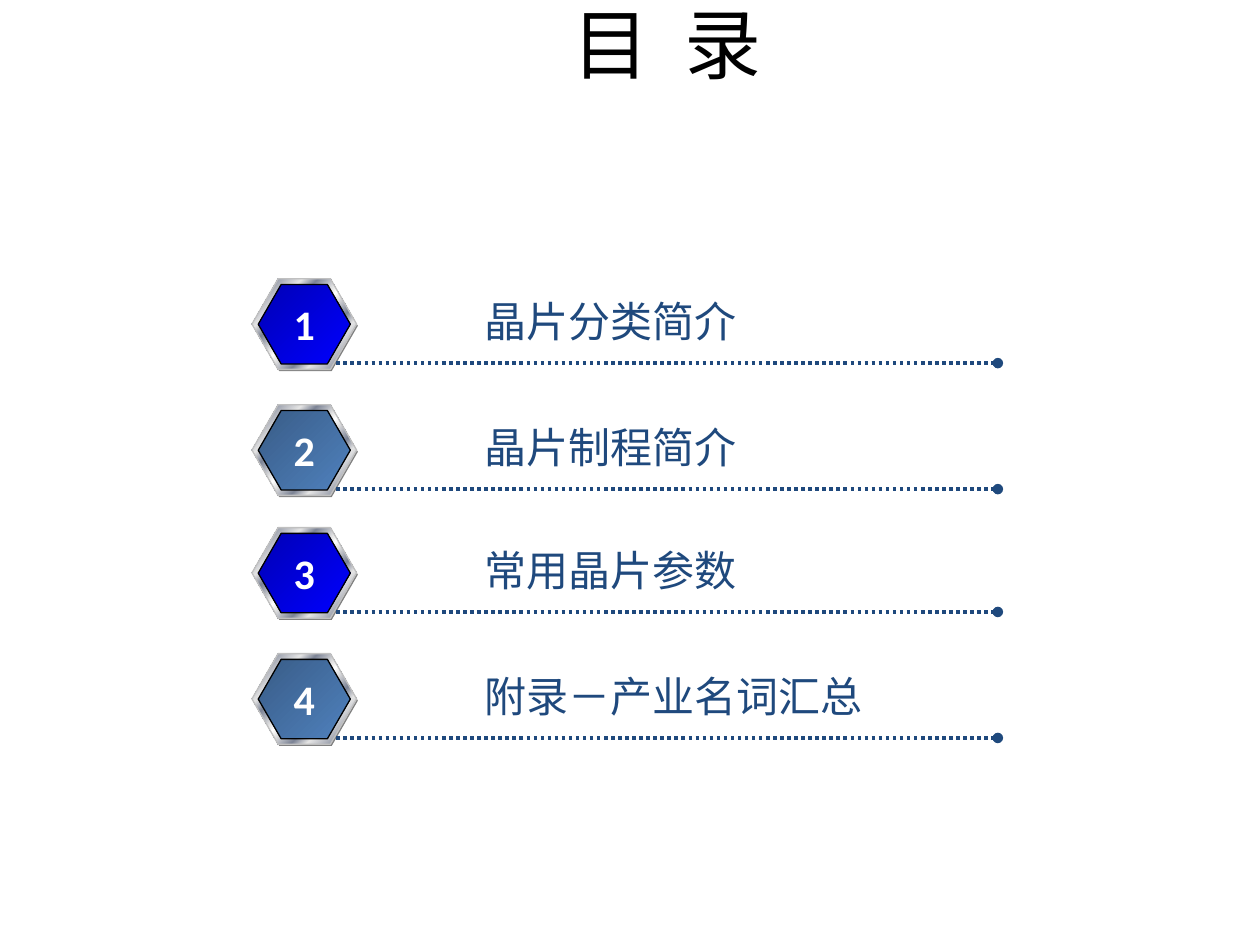
from lxml import etree
from pptx import Presentation
from pptx.dml.color import RGBColor
from pptx.enum.dml import MSO_LINE
from pptx.enum.shapes import MSO_CONNECTOR, MSO_SHAPE
from pptx.enum.text import MSO_ANCHOR, PP_ALIGN
from pptx.oxml.ns import qn
from pptx.util import Pt

BLACK = RGBColor(0x00, 0x00, 0x00)
WHITE = RGBColor(0xFF, 0xFF, 0xFF)
GRAY = RGBColor(0x80, 0x80, 0x80)
SILVER = RGBColor(0xC0, 0xC0, 0xC0)
NAVY = RGBColor(0x1F, 0x49, 0x7D)
LIGHT = RGBColor(0xE6, 0xE6, 0xE6)
STEEL = RGBColor(0x7D, 0x84, 0x96)
CHROME = [(0, LIGHT), (8, STEEL), (26, LIGHT), (34, STEEL), (46, LIGHT), (50, WHITE),
          (54, LIGHT), (66, STEEL), (74, LIGHT), (92, STEEL), (100, LIGHT)]
BLUE = [(0, RGBColor(0x00, 0x00, 0xB6)), (100, RGBColor(0x00, 0x00, 0xFF))]
SLATE = [(0, RGBColor(0x39, 0x5C, 0x87)), (100, RGBColor(0x4F, 0x81, 0xBD))]


def add_hexagon(group, x, y, w, h, stops=None, line=None):
    sp = group.shapes.add_shape(MSO_SHAPE.HEXAGON, Pt(x), Pt(y), Pt(w), Pt(h))
    sp.shadow.inherit = False
    sp.adjustments[0] = 0.289
    if stops:
        sp.fill.gradient()
        sp.fill.gradient_angle = 315
        gs_list = sp._element.spPr.find(qn("a:gradFill")).find(qn("a:gsLst"))
        for gs in list(gs_list):
            gs_list.remove(gs)
        for pos, color in stops:
            gs = etree.SubElement(gs_list, qn("a:gs"), pos=str(pos * 1000))
            etree.SubElement(gs, qn("a:srgbClr"), val=str(color))
        sp.line.color.rgb = line
        sp.line.width = Pt(0.75)
    else:
        sp.fill.solid()
        sp.fill.fore_color.rgb = GRAY
        sp.line.fill.background()


def add_label(group, text, x, y, w, h, color, align, bold):
    tf = group.shapes.add_textbox(Pt(x), Pt(y), Pt(w), Pt(h)).text_frame
    tf.word_wrap = False
    p = tf.paragraphs[0]
    p.alignment = align
    r = p.add_run()
    r.text = text
    r.font.name = "Calibri"
    r.font.size = Pt(24)
    r.font.bold = bold
    r.font.color.rgb = color


prs = Presentation()
prs.slide_width, prs.slide_height = Pt(720), Pt(540)
s = prs.slides.add_slide(prs.slide_layouts[5])

title = s.shapes.title
title.left, title.top, title.width, title.height = Pt(90), Pt(-5.76), Pt(582), Pt(44.64)
tf = title.text_frame
tf.vertical_anchor = MSO_ANCHOR.TOP
p = tf.paragraphs[0]
p.alignment = PP_ALIGN.CENTER
for text in ("目", " ", "录"):
    r = p.add_run()
    r.text = text
    r.font.name = "Calibri"
    r.font.size = Pt(44)
    r.font.color.rgb = BLACK
p.runs[1].font._element.set("spc", "1000")

items = [
    (159.3, "晶片分类简介", 160, BLUE),
    (231.3, "晶片制程简介", 160, SLATE),
    (301.5, "常用晶片参数", 160, BLUE),
    (373.5, "附录－产业名词汇总", 232.5, SLATE),
]
for number, (y, text, width, stops) in enumerate(items, 1):
    group = s.shapes.add_group_shape()
    add_hexagon(group, 144.7, y + 1, 59.8, 51.8)
    add_hexagon(group, 144, y, 59.8, 51.8, CHROME, SILVER)
    add_hexagon(group, 147.6, y + 3.3, 52.6, 45.4, stops, BLACK)

    rule = group.shapes.add_connector(
        MSO_CONNECTOR.STRAIGHT, Pt(192.2), Pt(y + 48.2), Pt(570.2), Pt(y + 48.2))
    rule.line.color.rgb = NAVY
    rule.line.width = Pt(2)
    rule.line.dash_style = MSO_LINE.ROUND_DOT
    etree.SubElement(rule.line._get_or_add_ln(), qn("a:tailEnd"), type="oval")
    etree.SubElement(rule._element.spPr, qn("a:effectLst"))

    add_label(group, text, 270, y + 6.1, width, 36.7, NAVY, PP_ALIGN.LEFT, False)
    add_label(group, str(number), 159.8, y + 7.8, 28.1, 36, WHITE, PP_ALIGN.CENTER, True)

prs.save("out.pptx")
